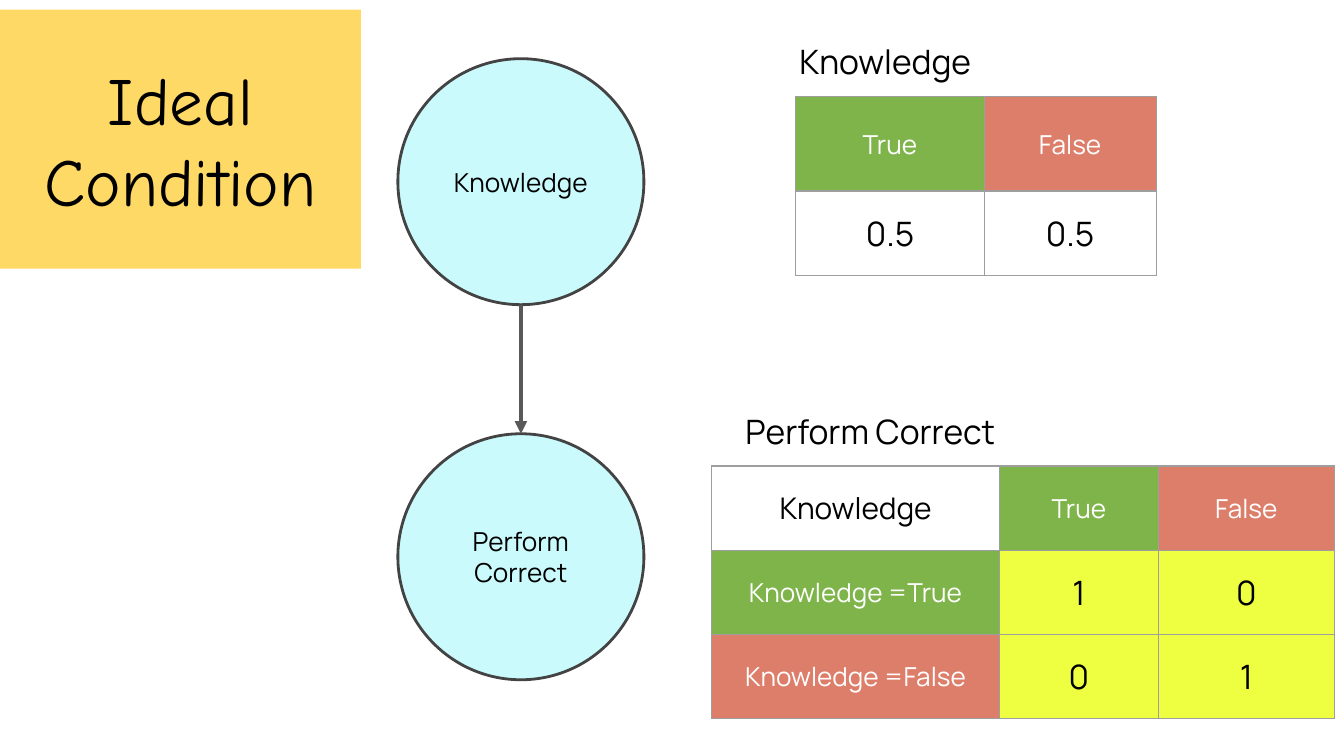
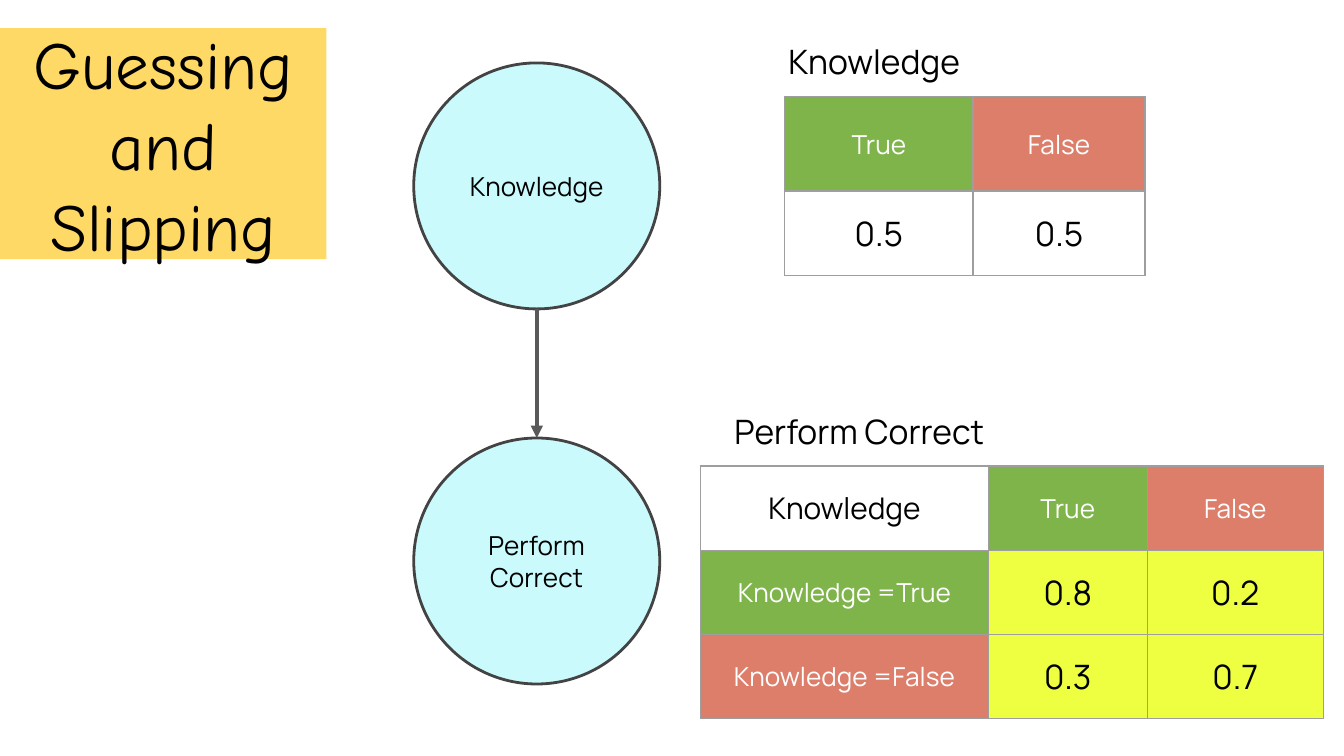
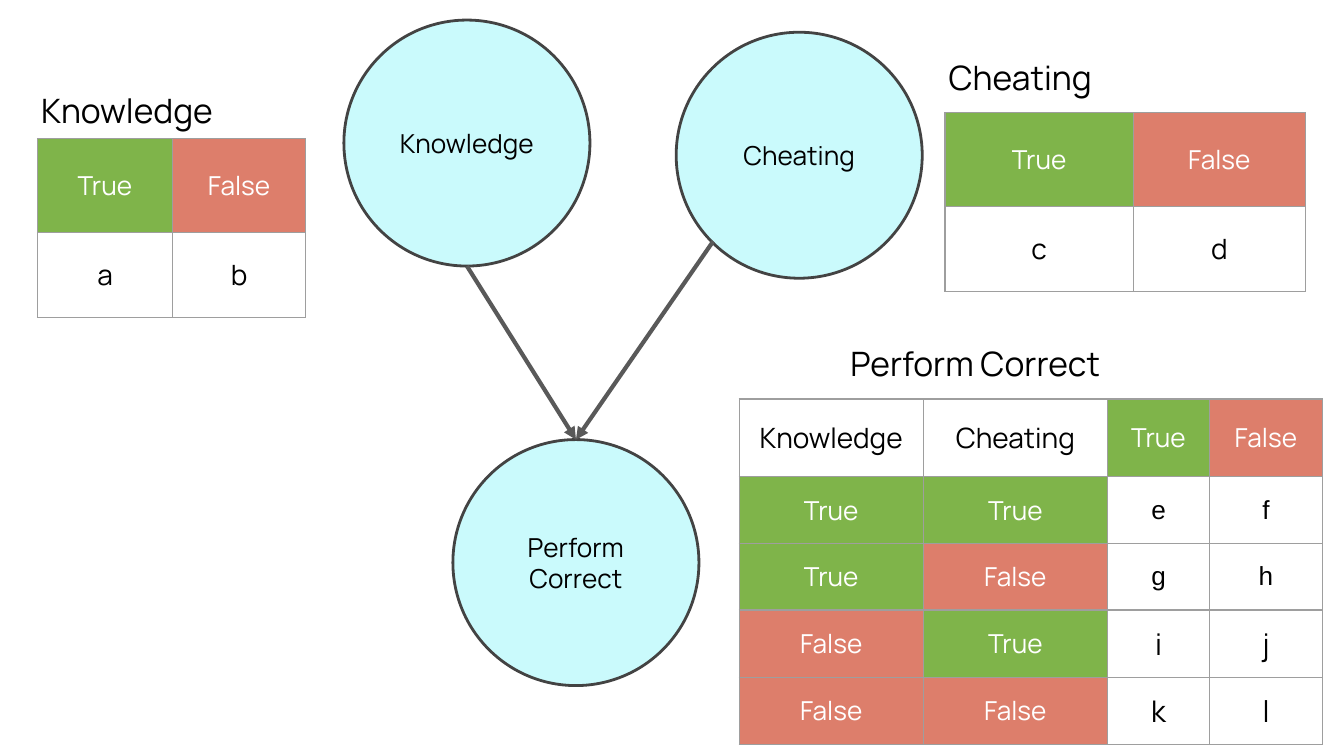
"""Builds three slides on knowledge, performance and their probability tables."""
from lxml import etree
from pptx import Presentation
from pptx.dml.color import RGBColor
from pptx.enum.shapes import MSO_CONNECTOR, MSO_SHAPE
from pptx.enum.text import MSO_ANCHOR, MSO_AUTO_SIZE, PP_ALIGN
from pptx.oxml.ns import qn
from pptx.util import Cm, Pt

CIRCLE = MSO_SHAPE.OVAL
STRAIGHT = MSO_CONNECTOR.STRAIGHT
CENTER, LEFT = PP_ALIGN.CENTER, PP_ALIGN.LEFT
MIDDLE, TOP = MSO_ANCHOR.MIDDLE, MSO_ANCHOR.TOP
NO_FIT = MSO_AUTO_SIZE.NONE

COLORS = {
    "ink": "000000", "white": "FFFFFF", "banner": "FFD966", "node": "CAFAFC",
    "outline": "434343", "arrow": "595959", "grid": "9E9E9E",
    "true": "7FB44A", "false": "DD7E6B", "chance": "EEFF41",
}
FORMATS = {
    "title": {"name": "Comic Neue", "size": Pt(36)},
    "caption": {"name": "Manrope", "size": Pt(18)},
    "node": {"name": "Manrope", "size": Pt(14)},
    "head": {"name": "Manrope", "size": Pt(16)},
    "letter": {"name": "Manrope", "size": Pt(15)},
    "plain": {"name": "Arial", "size": Pt(14)},
}
INSETS = dict.fromkeys(
    ("margin_left", "margin_right", "margin_top", "margin_bottom"), Cm(0.25))
DIAMETER = 4.65
PRIOR_COLUMNS, PRIOR_ROWS = (3.56, 3.25), (1.78, 1.6)


def assign(target, settings):
    for key, value in settings.items():
        setattr(target, key, value)


class Deck:
    """Holds the shared style and the slide being filled."""

    def __init__(self):
        self.show = Presentation()
        self.show.slide_width, self.show.slide_height = Cm(25.4), Cm(14.29)
        self.slide = None

    def color(self, name):
        return RGBColor.from_string(COLORS[name])

    def paint(self, target, name):
        target.fill.solid()
        target.fill.fore_color.rgb = self.color(name)

    def stroke(self, line, name, width):
        line.color.rgb = self.color(name)
        line.width = Pt(width)

    def fill_paragraph(self, paragraph, text, style, ink="ink", align=CENTER):
        paragraph.alignment = align
        run = paragraph.add_run()
        run.text = text
        assign(run.font, FORMATS[style])
        run.font.color.rgb = self.color(ink)

    def fill_frame(self, frame, text, style, align=CENTER, anchor=MIDDLE):
        assign(frame, {**INSETS, "word_wrap": True, "auto_size": NO_FIT,
                       "vertical_anchor": anchor})
        for index, words in enumerate(text.split("\n")):
            paragraph = frame.add_paragraph() if index else frame.paragraphs[0]
            self.fill_paragraph(paragraph, words, style, align=align)

    def start(self, title=None, top=0, width=0, height=0):
        layout = self.show.slide_layouts[5 if title else 6]
        self.slide = self.show.slides.add_slide(layout)
        if title:
            banner = self.slide.shapes.title
            assign(banner, {"left": 0, "top": Cm(top),
                            "width": Cm(width), "height": Cm(height)})
            self.paint(banner, "banner")
            self.fill_frame(banner.text_frame, title, "title")

    def node(self, text, left, top):
        circle = self.slide.shapes.add_shape(
            CIRCLE, Cm(left), Cm(top), Cm(DIAMETER), Cm(DIAMETER))
        circle.shadow.inherit = False
        self.paint(circle, "node")
        self.stroke(circle.line, "outline", 1.5)
        self.fill_frame(circle.text_frame, text, "node")
        return circle

    def arrow(self, cause, effect, across=0.5, down=1):
        link = self.slide.shapes.add_connector(
            STRAIGHT,
            cause.left + int(cause.width * across), cause.top + int(cause.height * down),
            effect.left + effect.width // 2, effect.top)
        self.stroke(link.line, "arrow", 2.25)
        properties = link._element.spPr
        etree.SubElement(properties.find(qn("a:ln")), qn("a:tailEnd"), type="triangle")
        etree.SubElement(properties, qn("a:effectLst"))

    def caption(self, text, left, top, width):
        box = self.slide.shapes.add_textbox(Cm(left), Cm(top), Cm(width), Cm(1))
        self.fill_frame(box.text_frame, text, "caption", LEFT, TOP)

    def border(self, cell):
        properties = cell._tc.get_or_add_tcPr()
        for side in ("a:lnL", "a:lnR", "a:lnT", "a:lnB"):
            edge = etree.SubElement(properties, qn(side), w=str(Pt(0.75)))
            fill = etree.SubElement(edge, qn("a:solidFill"))
            etree.SubElement(fill, qn("a:srgbClr"), val=COLORS["grid"])

    def cell(self, cell, text, style, value_fill):
        self.border(cell)
        truth = text.split("=")[-1].lower()
        if truth in ("true", "false"):
            fill, style, ink = truth, "node", "white"
        else:
            fill, ink = value_fill, "ink"
        if fill:
            self.paint(cell, fill)
        else:
            cell.fill.background()
        assign(cell, {**INSETS, "vertical_anchor": MIDDLE})
        self.fill_paragraph(cell.text_frame.paragraphs[0], text, style, ink)

    def table(self, left, top, widths, heights, rows, value_fill=None):
        grid = self.slide.shapes.add_table(
            len(heights), len(widths), Cm(left), Cm(top),
            Cm(sum(widths)), Cm(sum(heights))).table
        grid.first_row = grid.horz_banding = False
        for column, width in zip(grid.columns, widths):
            column.width = Cm(width)
        for index, (height, (style, texts)) in enumerate(zip(heights, rows)):
            grid.rows[index].height = Cm(height)
            for place, text in enumerate(texts):
                self.cell(grid.cell(index, place), text, style,
                          value_fill if index else None)

    def prior(self, cause, left, top, values, style="caption",
              widths=PRIOR_COLUMNS, lift=1.3):
        self.caption(cause, left - 0.18, top - lift, 5.46)
        self.table(left, top, widths, PRIOR_ROWS,
                   [("head", ("True", "False")), (style, values)])

    def outcome(self, left, top, indent, widths, heights, rows, value_fill=None):
        self.caption("Perform Correct", left + indent, top - 1.3, 7.09)
        self.table(left, top, widths, heights, rows, value_fill)


def single_cause(deck, banner, node_left, node_top, tables_left, known, unknown):
    deck.start(*banner)
    knowledge = deck.node("Knowledge", node_left, node_top)
    performance = deck.node("Perform\nCorrect", node_left, node_top + 7.09)
    deck.arrow(knowledge, performance)
    deck.prior("Knowledge", tables_left + 1.59, 1.83, ("0.5", "0.5"))
    deck.outcome(tables_left, 8.81, 0.39, (5.44, 3, 3.33), (1.59,) * 3, [
        ("head", ("Knowledge", "True", "False")),
        ("caption", ("Knowledge =True", *known)),
        ("caption", ("Knowledge =False", *unknown)),
    ], "chance")


def two_causes(deck):
    deck.start()
    knowledge = deck.node("Knowledge", 6.5, 0.38)
    performance = deck.node("Perform\nCorrect", 8.56, 8.31)
    cheating = deck.node("Cheating", 12.78, 0.61)
    deck.arrow(knowledge, performance)
    deck.arrow(cheating, performance, 0.15, 0.85)
    deck.prior("Cheating", 17.86, 2.13, ("c", "d"), "letter")
    deck.prior("Knowledge", 0.71, 2.62, ("a", "b"), "letter", (2.55, 2.52), 1.17)
    deck.outcome(13.97, 7.54, 1.85, (3.48, 3.48, 1.93, 2.13), (1.47,) + (1.26,) * 4, [
        ("letter", ("Knowledge", "Cheating", "True", "False")),
        ("plain", ("True", "True", "e", "f")),
        ("plain", ("True", "False", "g", "h")),
        ("head", ("False", "True", "i", "j")),
        ("head", ("False", "False", "k", "l")),
    ])


def main():
    deck = Deck()
    single_cause(deck, ("Ideal Condition", 0.18, 6.82, 4.9), 7.52, 1.11, 13.45,
                 ("1", "0"), ("0", "1"))
    single_cause(deck, ("Guessing and Slipping", 0.53, 6.17, 4.37), 7.82, 1.19, 13.24,
                 ("0.8", "0.2"), ("0.3", "0.7"))
    two_causes(deck)
    deck.show.save("out.pptx")


if __name__ == "__main__":
    main()
